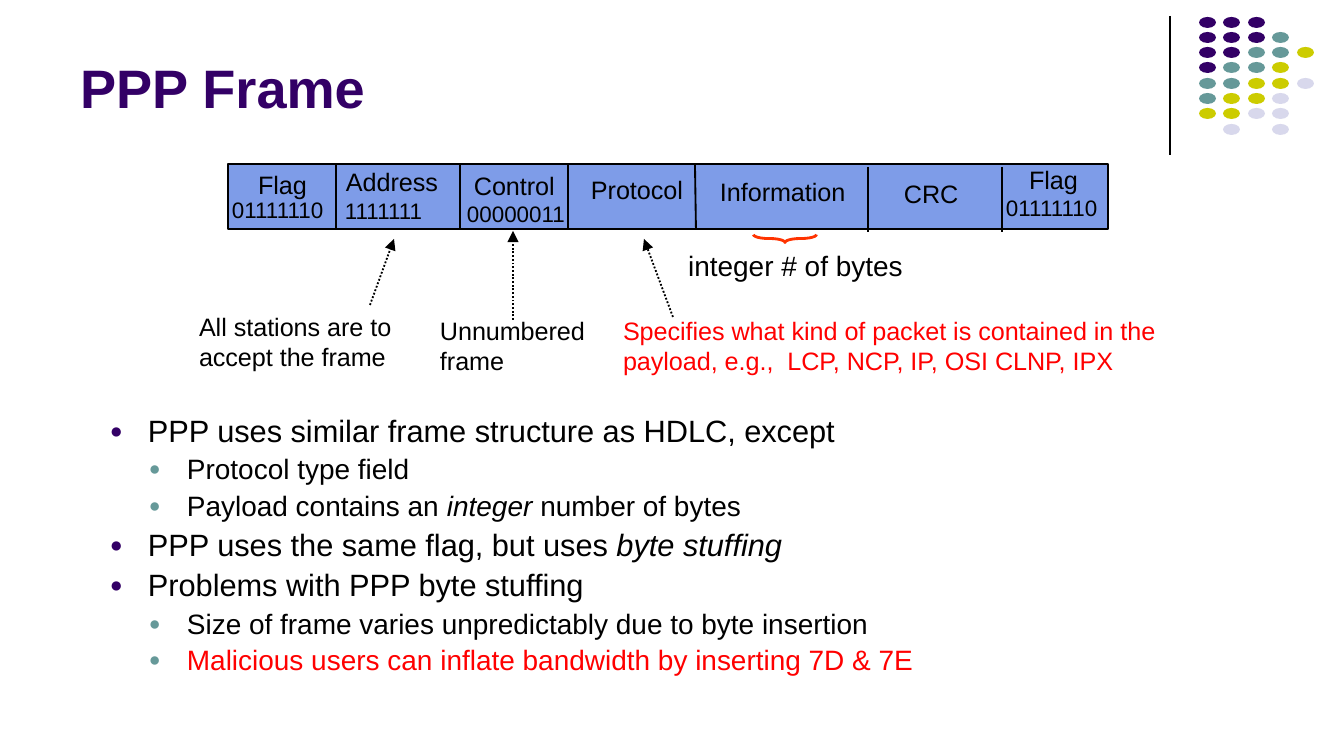
from lxml.etree import SubElement
from pptx import Presentation
from pptx.dml.color import RGBColor
from pptx.enum.dml import MSO_LINE
from pptx.enum.shapes import MSO_CONNECTOR, MSO_SHAPE
from pptx.enum.text import MSO_ANCHOR, MSO_AUTO_SIZE, PP_ALIGN
from pptx.oxml.ns import qn
from pptx.util import Emu, Pt

PX = 914400 / 134.4
BLACK = RGBColor(0x00, 0x00, 0x00)
PURPLE = RGBColor(0x33, 0x00, 0x66)
TEAL = RGBColor(0x66, 0x99, 0x99)
OLIVE = RGBColor(0xCC, 0xCC, 0x00)
LAVENDER = RGBColor(0xD8, 0xD8, 0xEC)
BLUE = RGBColor(0x7E, 0x9C, 0xE8)
RED = RGBColor(0xFF, 0x00, 0x00)
ORANGE = RGBColor(0xFF, 0x33, 0x00)


def add_text(box, lines, size, color=BLACK, wrap=False, insets=(9, 5)):
    """Add a text box; box is left, top, width, height in px."""
    shape = slide.shapes.add_textbox(*[Emu(round(n * PX)) for n in box])
    frame = shape.text_frame
    frame.word_wrap = wrap
    frame.auto_size = MSO_AUTO_SIZE.NONE if wrap else MSO_AUTO_SIZE.SHAPE_TO_FIT_TEXT
    frame.margin_left = frame.margin_right = Emu(round(insets[0] * PX))
    frame.margin_top = frame.margin_bottom = Emu(round(insets[1] * PX))
    frame.text = "\n".join(lines)
    for paragraph in frame.paragraphs:
        paragraph.font.name = "Arial"
        paragraph.font.size = Pt(size)
        paragraph.font.color.rgb = color
    return frame


def add_line(ends, width=1):
    """Add a black line; ends is x1, y1, x2, y2 in px."""
    line = slide.shapes.add_connector(
        MSO_CONNECTOR.STRAIGHT, *[Emu(round(n * PX)) for n in ends])
    line.line.color.rgb = BLACK
    line.line.width = Pt(width)
    SubElement(line._element.spPr, qn("a:effectLst"))
    return line


presentation = Presentation()
presentation.slide_width = Emu(round(1344 * PX))
presentation.slide_height = Emu(round(756 * PX))
slide = presentation.slides.add_slide(presentation.slide_layouts[6])

# Corner decoration: one letter per dot
add_line((1170, 16, 1170, 155), 0.75)
dot_colors = {"P": PURPLE, "T": TEAL, "O": OLIVE, "L": LAVENDER}
dot_rows = ["PPP", "PPPT", "PPTTO", "PTTO", "TTOOL", "TOOL", "OOLL", " L L"]
for row, letters in enumerate(dot_rows):
    for column, letter in enumerate(letters):
        if letter == " ":
            continue
        left, top = 1199 + 49 * column // 2, 17 + 107 * row // 7
        dot = slide.shapes.add_shape(
            MSO_SHAPE.OVAL, *[Emu(round(n * PX)) for n in (left, top, 17, 11)])
        dot.shadow.inherit = False
        dot.fill.solid()
        dot.fill.fore_color.rgb = dot_colors[letter]
        dot.line.fill.background()

title = add_text((67, 13, 1109, 113), ["PPP Frame"], 29, PURPLE, True, (13, 7))
title.vertical_anchor = MSO_ANCHOR.BOTTOM
title.paragraphs[0].font.bold = True

# Bullets: level and runs, where every second run is italic
bullets = [
    (0, ["PPP uses similar frame structure as HDLC, except"], BLACK),
    (1, ["Protocol type field"], BLACK),
    (1, ["Payload contains an ", "integer", " number of bytes"], BLACK),
    (0, ["PPP uses the same flag, but uses ", "byte stuffing"], BLACK),
    (0, ["Problems with PPP byte stuffing"], BLACK),
    (1, ["Size of frame varies unpredictably due to byte insertion"], BLACK),
    (1, ["Malicious users can inflate bandwidth by inserting 7D & 7E"], RED),
]
body = add_text((97, 409, 1035, 288), [], 15, wrap=True, insets=(13, 7))
for index, (level, runs, color) in enumerate(bullets):
    paragraph = body.add_paragraph() if index else body.paragraphs[0]
    paragraph.level = level
    paragraph.line_spacing = 0.9
    paragraph.space_before = Pt((3.8, 3.5)[level] if index else 0)
    properties = paragraph._p.get_or_add_pPr()
    properties.set("marL", str(round((38, 77)[level] * PX)))
    properties.set("indent", str(round(-38 * PX)))
    bullet_color = SubElement(properties, qn("a:buClr"))
    SubElement(bullet_color, qn("a:srgbClr"), val=str((PURPLE, TEAL)[level]))
    SubElement(properties, qn("a:buSzPct"), val="70000")
    SubElement(properties, qn("a:buFont"), typeface="Arial")
    SubElement(properties, qn("a:buChar"), char="●")
    paragraph.font.name = "Arial"
    paragraph.font.size = Pt((16.5, 15)[level])
    paragraph.font.color.rgb = color
    for position, text in enumerate(runs):
        run = paragraph.add_run()
        run.text = text
        if position % 2:
            run.font.italic = True

# Frame bar with its fields
bar = slide.shapes.add_shape(
    MSO_SHAPE.RECTANGLE, *[Emu(round(n * PX)) for n in (228, 164, 880, 65)])
bar.shadow.inherit = False
bar.fill.solid()
bar.fill.fore_color.rgb = BLUE
bar.line.color.rgb = BLACK
bar.line.width = Pt(1)

for x, top in [(336, 164), (460, 164), (568, 164), (868, 167), (1002, 167)]:
    add_line((x, top, x, top + 65))
add_line((695, 164, 696, 230))

field_names = [
    ("Flag", 249, 164, 70), ("Address", 337, 161, 113), ("Control", 465, 165, 102),
    ("Protocol", 582, 169, 113), ("Information", 711, 171, 148),
    ("CRC", 895, 173, 75), ("Flag", 1020, 159, 70),
]
for name, left, top, width in field_names:
    add_text((left, top, width, 40), [name], 13.5)

field_bits = [
    ("01111110", 223, 191, 112), ("1111111", 336, 192, 98),
    ("00000011", 458, 195, 118), ("01111110", 997, 189, 112),
]
for bits, left, top, width in field_bits:
    add_text((left, top, width, 38), [bits], 12)

# Explanations below the bar
add_text((190, 306, 215, 71), ["All stations are to", "accept the frame"], 13.5)
add_text((431, 310, 179, 71), ["Unnumbered frame"], 13.5, wrap=True)
add_text((614, 310, 562, 71),
         ["Specifies what kind of packet is contained in the payload, "
          "e.g.,  LCP, NCP, IP, OSI CLNP, IPX"], 13.5, RED, True)
byte_note = add_text((673, 242, 245, 47), ["integer # of bytes"], 15, insets=(13, 7))
byte_note.paragraphs[0].alignment = PP_ALIGN.CENTER

for ends in [(370, 305, 394, 239), (513, 320, 513, 231), (673, 317, 644, 239)]:
    arrow = add_line(ends)
    arrow.line.dash_style = MSO_LINE.ROUND_DOT
    SubElement(arrow.line._get_or_add_ln(), qn("a:tailEnd"), type="triangle")

brace = slide.shapes.add_shape(
    MSO_SHAPE.LEFT_BRACE, *[Emu(round(n * PX)) for n in (781, 207, 8, 63)])
brace.shadow.inherit = False
brace.rotation = 270
brace.adjustments[0] = 1.9
brace.fill.background()
brace.line.color.rgb = ORANGE
brace.line.width = Pt(1.5)

presentation.save("out.pptx")
